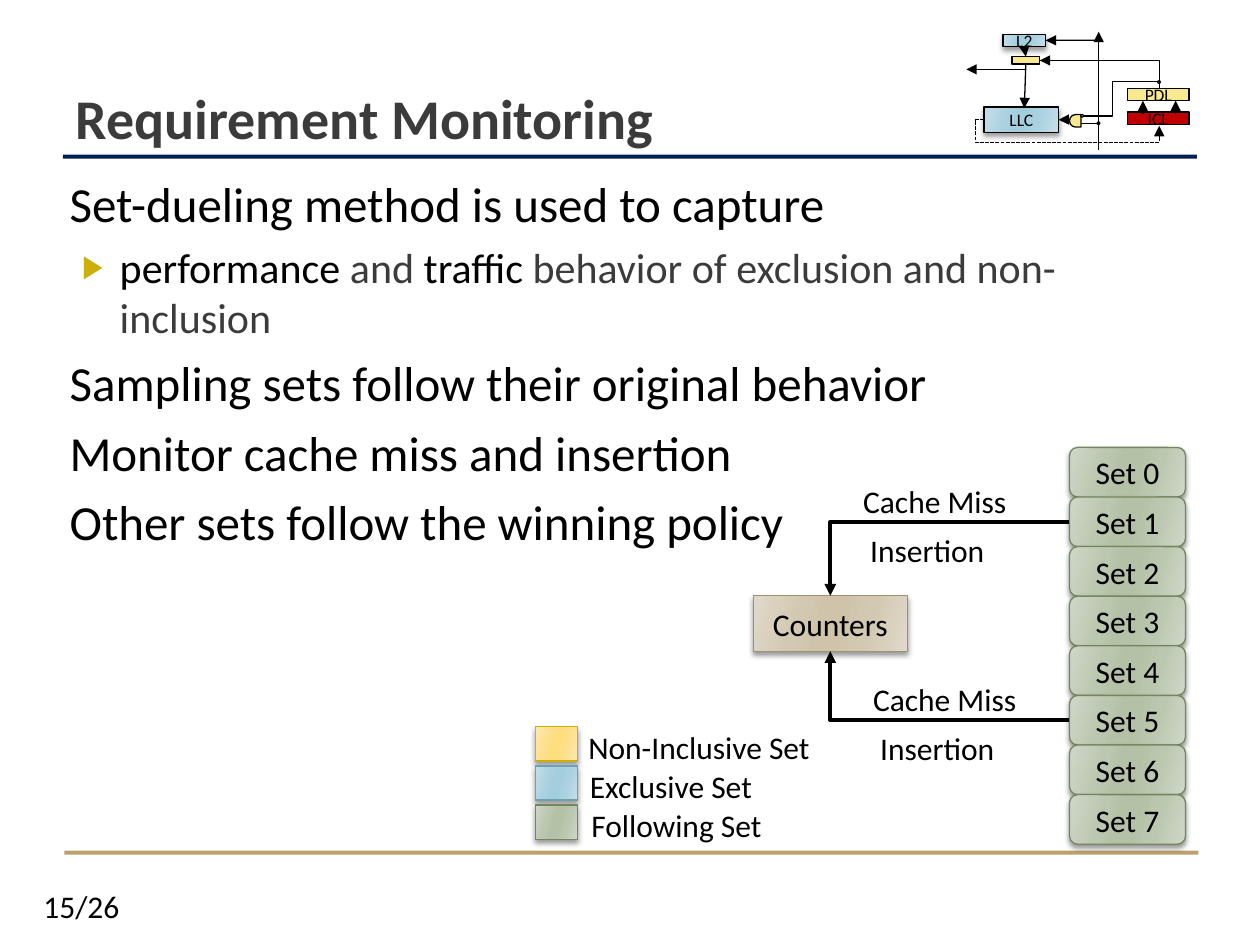
from lxml.etree import SubElement
from pptx import Presentation
from pptx.dml.color import RGBColor
from pptx.enum.dml import MSO_LINE
from pptx.enum.shapes import MSO_CONNECTOR as Link, MSO_SHAPE as Shape
from pptx.enum.text import MSO_ANCHOR as Anchor, MSO_AUTO_SIZE as AutoSize, PP_ALIGN as Align
from pptx.oxml.ns import qn
from pptx.util import Cm, Pt

FONT = "Calibri"
COLORS = {
    "black": "000000", "white": "FFFFFF", "gray": "3B3B3B", "navy": "011F53", "gold": "BBA26C",
    "bullet": "CCAF0A", "yellow": "F9E98E", "red": "C00000", "blue": "6EA0B0",
}
# Sheen: outer, middle and centre colour, then the outline
SHEENS = {
    "tan": ("E0D9CA", "D3C9B2", "CFC4AA", "9E9273"),
    "green": ("D0D7C8", "BBC7AF", "B4C1A6", "748560"),
    "amber": ("FCE8B2", "FEE08D", "FFDE80", "CCAF0A"),
    "sky": ("C6DFE9", "ACD2E1", "A3CEDE", "6EA0B0"),
}
SHEEN_STOPS = ((0, 0), (30, 1), (45, 2), (55, 2), (73, 1), (100, 0))

TITLE = "Requirement Monitoring"
BULLETS = [  # level, runs of (text, colour)
    (0, [("Set-dueling method is used to capture", "black")]),
    (1, [("performance ", "black"), ("and ", "gray"), ("traffic ", "black"),
         ("behavior of exclusion and non-inclusion", "gray")]),
    (0, [("Sampling sets follow their original behavior", "black")]),
    (0, [("Monitor cache miss and insertion", "black")]),
    (0, [("Other sets follow the winning policy", "black")]),
]
# size, space before, left margin, first-line indent for each level
LEVELS = [(28, 6, 0.51, 0), (24, 5, 1.52, -0.76)]
RULES = [((1.27, 3.12, 22.86, 0.08), "navy"), ((1.3, 17.15, 22.86, 0.08), "gold")]
LEGEND = [("Non-Inclusive Set", "amber"), ("Exclusive Set", "sky"), ("Following Set", "green")]
SET_COUNT = 8
MONITORED = [(1, 0, (17.15, 9.6)), (5, 2, (17.35, 13.59))]  # set, side of Counters, label place

OVERVIEW_BOXES = {  # place, fill, text
    "PDL": ((22.73, 1.78, 1.24, 0.25), "yellow", "PDL"),
    "LLC": ((19.84, 2.16, 1.5, 0.51), "sky", "LLC"),
    "L2": ((20.22, 0.69, 0.86, 0.25), "sky", "L2"),
    "ICL": ((22.73, 2.26, 1.24, 0.25), "red", "ICL"),
    "buffer": ((20.4, 1.14, 0.56, 0.15), "yellow", ""),
}
GATE = (21.56, 2.31, 0.23, 0.25)
DOTS = [(22.12, 2.46, "blue"), (21.79, 2.31, "white"), (23.34, 1.63, "blue"), (22.12, 0.79, "blue")]
OVERVIEW_LINES = [  # from, to, arrow, begin joint, end joint
    ((22.15, 3.02), (22.15, 0.64), "tail", None, None),
    ((21.56, 2.41), (21.34, 2.41), "tail", None, ("LLC", 3)),
    ((22.15, 2.49), (21.79, 2.49), None, None, None),
    ((23.04, 2.29), (23.04, 2.03), "tail", None, None),
    ((23.7, 2.29), (23.7, 2.03), "tail", None, None),
    ((20.68, 1.3), (20.65, 2.18), "tail", ("buffer", 2), None),
    ((20.65, 0.94), (20.68, 1.14), "tail", ("L2", 2), ("buffer", 0)),
    ((22.12, 0.81), (21.08, 0.81), "tail", None, ("L2", 3)),
    ((20.68, 1.4), (19.48, 1.4), "tail", None, None),
]
OVERVIEW_ELBOWS = [  # from, to, arrow, bends, adjustments, dash
    ((19.84, 2.41), (23.37, 2.54), "tail", 4, (-0.05, 3.54), MSO_LINE.SQUARE_DOT),
    ((20.96, 1.22), (23.37, 1.78), "head", 2, (), None),
    ((23.34, 1.65), (21.84, 2.34), None, 3, (0.61,), None),
]


def color(name):
    return RGBColor.from_string(COLORS.get(name, name))


def lengths(values):
    return [Cm(value) for value in values]


def style_run(run, size, name="black", bold=False):
    run.font.name, run.font.size, run.font.bold = FONT, Pt(size), bold
    run.font.color.rgb = color(name)


def write(shape, text, size=18, align=Align.CENTER):
    frame = shape.text_frame
    frame.text = text
    para = frame.paragraphs[0]
    para.alignment = align
    for run in para.runs:
        style_run(run, size)
    return frame


def add_label(shapes, place, text, align=Align.LEFT):
    box = shapes.add_textbox(*lengths(place))
    frame = write(box, text, align=align)
    frame.word_wrap = True
    return frame


def apply_sheen(shape, tones):
    """Fill with a mirrored gradient and add a soft shadow below."""
    shape.fill.gradient()
    shape.fill.gradient_angle = 344
    properties = shape.element.spPr
    stops = properties.find(qn("a:gradFill")).find(qn("a:gsLst"))
    for stop in list(stops):
        stops.remove(stop)
    for percent, tone in SHEEN_STOPS:
        stop = SubElement(stops, qn("a:gs"), pos=str(percent * 1000))
        SubElement(stop, qn("a:srgbClr"), val=tones[tone])
    shadow = SubElement(properties.find(qn("a:effectLst")), qn("a:outerShdw"),
                        blurRad=str(Pt(3)), dist=str(Pt(2)), dir="5400000", rotWithShape="0")
    shade = SubElement(shadow, qn("a:srgbClr"), val=COLORS["black"])
    SubElement(shade, qn("a:alpha"), val="40000")


def add_box(shapes, kind, place, fill, line=None, text="", size=18):
    box = shapes.add_shape(kind, *lengths(place))
    box.shadow.inherit = False
    if line:
        box.line.color.rgb = color(line)
        box.line.width = Pt(0.75)
    else:
        box.line.fill.background()
    if fill in SHEENS:
        apply_sheen(box, SHEENS[fill])
    else:
        box.fill.solid()
        box.fill.fore_color.rgb = color(fill)
    if text:
        frame = write(box, text, size)
        frame.word_wrap = False
        frame.vertical_anchor = Anchor.MIDDLE
    return box


def add_line(shapes, start, end, arrow, width=0.75, bends=None, adjustments=(), dash=None):
    kind = Link.ELBOW if bends else Link.STRAIGHT
    line = shapes.add_connector(kind, *lengths(start + end))
    line.line.color.rgb = color("black")
    line.line.width = Pt(width)
    if dash:
        line.line.dash_style = dash
    properties = line.element.spPr
    if arrow:
        SubElement(properties.find(qn("a:ln")), qn(f"a:{arrow}End"), type="triangle")
    SubElement(properties, qn("a:effectLst"))
    if bends:
        geometry = properties.find(qn("a:prstGeom"))
        geometry.set("prst", f"bentConnector{bends}")
        guides = geometry.find(qn("a:avLst"))
        for number, ratio in enumerate(adjustments, 1):
            SubElement(guides, qn("a:gd"), name=f"adj{number}", fmla=f"val {round(ratio * 100000)}")
    return line


def place_holder(holder, place, anchor):
    holder.left, holder.top, holder.width, holder.height = lengths(place)
    holder.text_frame.auto_size = AutoSize.NONE
    holder.text_frame.vertical_anchor = anchor


def fill_text(page):
    title, body = page.shapes.title, page.placeholders[1]
    place_holder(title, (1.27, 0.43, 22.86, 2.74), Anchor.BOTTOM)
    write(title, TITLE, align=Align.LEFT)
    style_run(title.text_frame.paragraphs[0].runs[0], 32, "gray", True)
    place_holder(body, (0.64, 3.38, 23.5, 13.72), Anchor.TOP)
    frame = body.text_frame
    for number, (level, runs) in enumerate(BULLETS):
        para = frame.add_paragraph() if number else frame.paragraphs[0]
        size, before, margin, indent = LEVELS[level]
        para.level, para.space_before = level, Pt(before)
        for text, name in runs:
            run = para.add_run()
            run.text = text
            style_run(run, size, name)
        settings = para._p.get_or_add_pPr()
        settings.set("marL", str(Cm(margin)))
        settings.set("indent", str(Cm(indent)))
        if level:
            tint = SubElement(settings, qn("a:buClr"))
            SubElement(tint, qn("a:srgbClr"), val=COLORS["bullet"])
            SubElement(settings, qn("a:buSzPct"), val="76000")
            SubElement(settings, qn("a:buChar"), char="▶")
        else:
            SubElement(settings, qn("a:buNone"))


def draw_monitoring(shapes):
    counters = add_box(shapes, Shape.RECTANGLE, (15.19, 12.01, 3.1, 1.12), "tan",
                       SHEENS["tan"][-1], "Counters")
    sets = [add_box(shapes, Shape.ROUNDED_RECTANGLE, (21.56, 9.02 + row, 2.34, 1), "green",
                    SHEENS["green"][-1], f"Set {row}") for row in range(SET_COUNT)]
    for row, (text, sheen) in enumerate(LEGEND):
        top = 14.65 + 0.79 * row
        add_box(shapes, Shape.RECTANGLE, (10.8, top, 0.84, 0.69), sheen, SHEENS[sheen][-1])
        add_label(shapes, (11.61 + 0.03 * row, top - 0.1, 5.16, 1.02), text)
    for row, side, (left, top) in MONITORED:
        line = add_line(shapes, (21.56, 9.52 + row), (16.74, 12.01 if side == 0 else 13.13),
                        "tail", 2.25, bends=2)
        line.begin_connect(sets[row], 1)
        line.end_connect(counters, side)
        add_label(shapes, (left, top, 3.63, 1.02), "Cache Miss")
        add_label(shapes, (left - 0.27, top + 0.99, 3.63, 1.02), "Insertion", Align.CENTER)


def draw_overview(shapes):
    boxes = {name: add_box(shapes, Shape.RECTANGLE, place, fill, "black", text, 10)
             for name, (place, fill, text) in OVERVIEW_BOXES.items()}
    add_box(shapes, Shape.FLOWCHART_DELAY, GATE, "yellow", "black").rotation = 180
    for left, top, fill in DOTS:
        add_box(shapes, Shape.FLOWCHART_CONNECTOR, (left, top, 0.05, 0.05), fill, "black")
    for start, end, arrow, begin_joint, end_joint in OVERVIEW_LINES:
        line = add_line(shapes, start, end, arrow)
        if begin_joint:
            line.begin_connect(boxes[begin_joint[0]], begin_joint[1])
        if end_joint:
            line.end_connect(boxes[end_joint[0]], end_joint[1])
    for start, end, arrow, bends, adjustments, dash in OVERVIEW_ELBOWS:
        add_line(shapes, start, end, arrow, bends=bends, adjustments=adjustments, dash=dash)


def main():
    deck = Presentation()
    deck.slide_width, deck.slide_height = Cm(25.4), Cm(19.05)
    page = deck.slides.add_slide(deck.slide_layouts[1])
    for place, fill in RULES:
        add_box(page.shapes, Shape.RECTANGLE, place, fill)
    number = add_label(page.shapes, (0.58, 17.88, 1.83, 0.76), "15/26", Align.RIGHT)
    number.margin_left = number.margin_right = number.margin_top = number.margin_bottom = 0
    number.word_wrap, number.vertical_anchor = False, Anchor.MIDDLE
    fill_text(page)
    draw_monitoring(page.shapes)
    draw_overview(page.shapes.add_group_shape().shapes)
    deck.save("out.pptx")


if __name__ == "__main__":
    main()
